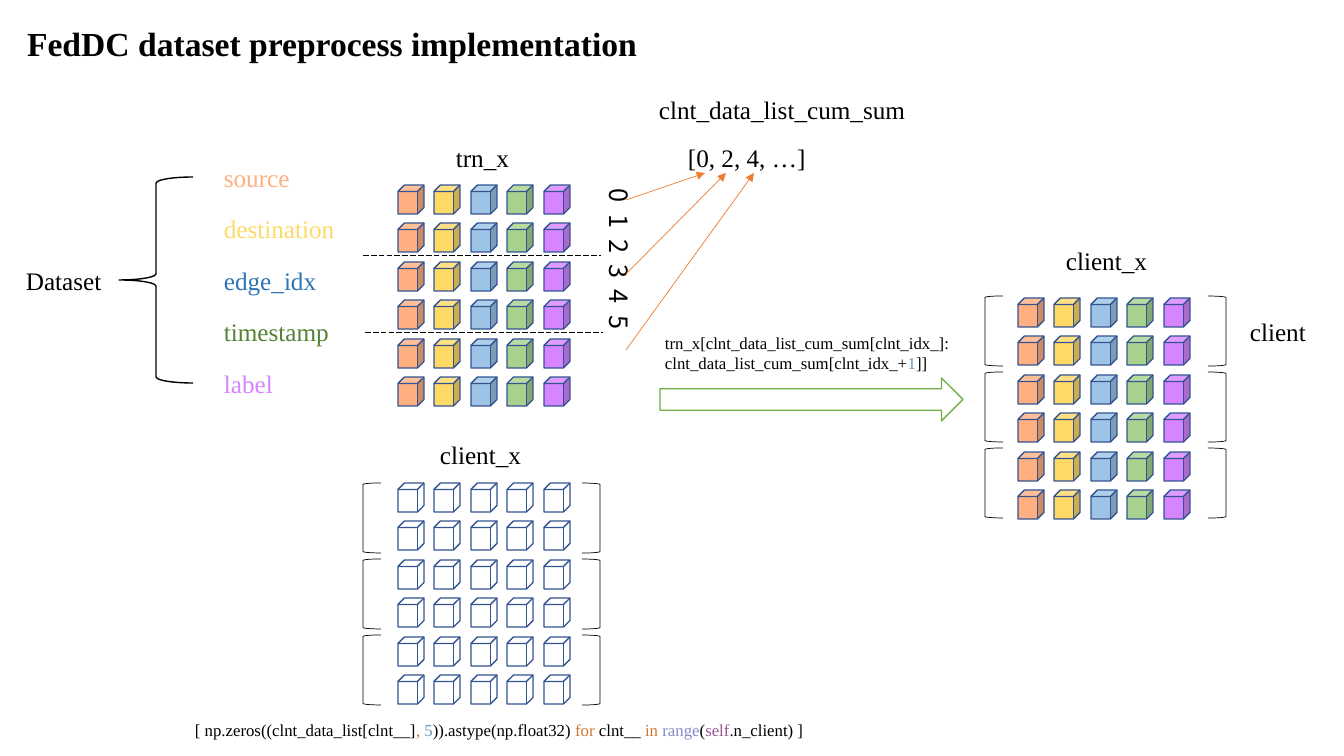
import pptx
import pptx.util
import pptx.dml.color
import pptx.enum.dml
import pptx.enum.shapes
import pptx.enum.text
import pptx.oxml.ns
import lxml.etree

PX = 914400 / 100.8
RGB = pptx.dml.color.RGBColor
KIND = pptx.enum.shapes.MSO_SHAPE
FIT = pptx.enum.text.MSO_AUTO_SIZE.SHAPE_TO_FIT_TEXT
TOP = pptx.enum.text.MSO_ANCHOR.TOP
LEFT = pptx.enum.text.PP_ALIGN.LEFT
DASH = pptx.enum.dml.MSO_LINE.LONG_DASH

BLACK = RGB(0, 0, 0)
WHITE = RGB(255, 255, 255)
PEACH = RGB(0xFF, 0xAF, 0x80)
YELLOW = RGB(0xFF, 0xD9, 0x66)
SKY = RGB(0x9D, 0xC3, 0xE6)
LIME = RGB(0xA9, 0xD1, 0x8E)
VIOLET = RGB(0xD6, 0x84, 0xFF)
BLUE = RGB(0x2E, 0x75, 0xB6)
GREEN = RGB(0x54, 0x82, 0x35)
NAVY = RGB(0x32, 0x54, 0x91)
LEAF = RGB(0x70, 0xAD, 0x47)
ORANGE = RGB(0xED, 0x7D, 0x31)
WORD = RGB(0xCC, 0x78, 0x32)
NUMBER = RGB(0x68, 0x97, 0xBB)
BUILTIN = RGB(0x88, 0x88, 0xC6)
SELF = RGB(0x94, 0x55, 0x8D)

SERIF = "Times New Roman"
FILLS = (PEACH, YELLOW, SKY, LIME, VIOLET)
CUBE_W, CUBE_H, ROWS = 26, 29, 6

deck = pptx.Presentation()
deck.slide_width, deck.slide_height = round(1344 * PX), round(756 * PX)
slide = deck.slides.add_slide(deck.slide_layouts[5])


def emu(*vals):
    return [round(v * PX) for v in vals]


def style(item, vals):
    for key, val in vals.items():
        setattr(item, key, val)


def write(frame, runs, size=18, font=SERIF, bold=False, wrap=False):
    style(frame, {"word_wrap": wrap, "auto_size": FIT, "vertical_anchor": TOP})
    para = frame.paragraphs[0]
    para.alignment = LEFT
    for words, color in runs:
        run = para.add_run()
        run.text = words
        style(run.font, {"size": pptx.util.Pt(size), "name": font, "bold": bold})
        run.font.color.rgb = color


def label(box, words, color=BLACK, **form):
    item = slide.shapes.add_textbox(*emu(*box))
    runs = [(words, color)] if isinstance(words, str) else words
    write(item.text_frame, runs, **form)
    return item


def shape(kind, box, line, width=1, fill=None, turn=0):
    item = slide.shapes.add_shape(kind, *emu(*box))
    item.shadow.inherit = False
    item.rotation = turn
    if fill is None:
        item.fill.background()
    else:
        item.fill.solid()
        item.fill.fore_color.rgb = fill
    item.line.color.rgb = line
    item.line.width = pptx.util.Pt(width)


def link(ends, color, dash=None, head=False):
    item = slide.shapes.add_connector(
        pptx.enum.shapes.MSO_CONNECTOR.STRAIGHT, *emu(*ends))
    item.line.color.rgb = color
    style(item.line, {"width": pptx.util.Pt(0.5), "dash_style": dash})
    props = item.element.spPr
    if head:
        tip = lxml.etree.SubElement(
            props.find(pptx.oxml.ns.qn("a:ln")), pptx.oxml.ns.qn("a:tailEnd"))
        tip.set("type", "triangle")
    lxml.etree.SubElement(props, pptx.oxml.ns.qn("a:effectLst"))


def cubes(left, top, fills):
    for row in range(ROWS):
        for col, fill in enumerate(fills):
            box = (left + 73 * col // 2, top + 77 * row // 2, CUBE_W, CUBE_H)
            shape(KIND.CUBE, box, NAVY, fill=fill)


def pairs(left, top, width):
    """Bracket every two rows on both sides."""
    for side, turn in ((left, 0), (left + width - 18, 180)):
        for num in range(ROWS // 2):
            shape(KIND.LEFT_BRACKET, (side, top + 76 * num, 18, 70),
                  BLACK, 0.5, turn=turn)


def head(left, top, width, height):
    title = slide.shapes.title
    style(title, dict(zip(("left", "top", "width", "height"),
                          emu(left, top, width, height))))
    write(title.text_frame, [("FedDC dataset preprocess implementation", BLACK)],
          size=24, bold=True)


def fields(left, top):
    # Dataset, brace and its five fields
    label((left, top + 103, 97, 40), "Dataset")
    shape(KIND.LEFT_BRACE, (left + 103, top + 20, 74, 206), BLACK)
    names = (("source", PEACH, 87), ("destination", YELLOW, 132),
             ("edge_idx", BLUE, 118), ("timestamp", GREEN, 126),
             ("label", VIOLET, 73))
    for num, (name, color, width) in enumerate(names):
        label((left + 198, top + 103 * num // 2, width, 40), name, color)


def train(left, top):
    # Training rows, cut lines and row numbers
    label((left + 83, top, 74, 40), "trn_x")
    cubes(left + 35, top + 48, FILLS)
    for shift, drop in ((0, 118), (2, 195)):
        link((left + shift, top + drop, left + shift + 238, top + drop),
             BLACK, dash=DASH)
    nums = label((left + 227, top + 42, 50, 229), "0 1 2 3 4 5",
                 font="Noto Sans CJK SC")
    nums.element.txBody.bodyPr.set("vert", "eaVert")
    nums.element.xpath(".//a:rPr")[0].set("spc", "200")


def sums(left, top):
    # Running sums and the rows they point from
    label((left, top, 276, 40), "clnt_data_list_cum_sum")
    label((left + 29, top + 48, 139, 40), "[0, 2, 4, …]")
    for drop, reach in ((111, 56), (185, 77), (261, 105)):
        link((left - 23, top + drop, left + reach, top + 84), ORANGE, head=True)


def step(left, top):
    # Slice code above the block arrow
    code = [("trn_x[clnt_data_list_cum_sum[clnt_idx_]:"
             "clnt_data_list_cum_sum[clnt_idx_+", BLACK),
            ("1", NUMBER), ("]]", BLACK)]
    label((left, top, 311, 50), code, size=12, wrap=True)
    shape(KIND.RIGHT_ARROW, (left + 5, top + 50, 303, 43), LEAF, fill=WHITE)


def zeros(left, top):
    # Empty client array and the code that makes it
    label((left + 67, top, 103, 40), "client_x")
    cubes(left + 35, top + 49, [None] * len(FILLS))
    pairs(left, top + 49, 237)
    code = [("[ np.zeros((clnt_data_list[clnt__]", BLACK), (", ", WORD),
            ("5", NUMBER), (")).astype(np.float32) ", BLACK), ("for ", WORD),
            ("clnt__ ", BLACK), ("in ", WORD), ("range", BUILTIN),
            ("(", BLACK), ("self", SELF), (".n_client) ]", BLACK)]
    label((left - 178, top + 281, 672, 30), code, size=12, wrap=True)


def client(left, top):
    # Filled client array
    label((left + 71, top, 103, 40), "client_x")
    cubes(left + 33, top + 58, FILLS)
    pairs(left, top + 56, 241)
    label((left + 255, top + 71, 79, 40), "client")


head(17, 18, 660, 50)
fields(16, 157)
train(363, 137)
zeros(363, 434)
step(655, 328)
client(985, 240)
sums(649, 89)
deck.save("out.pptx")
